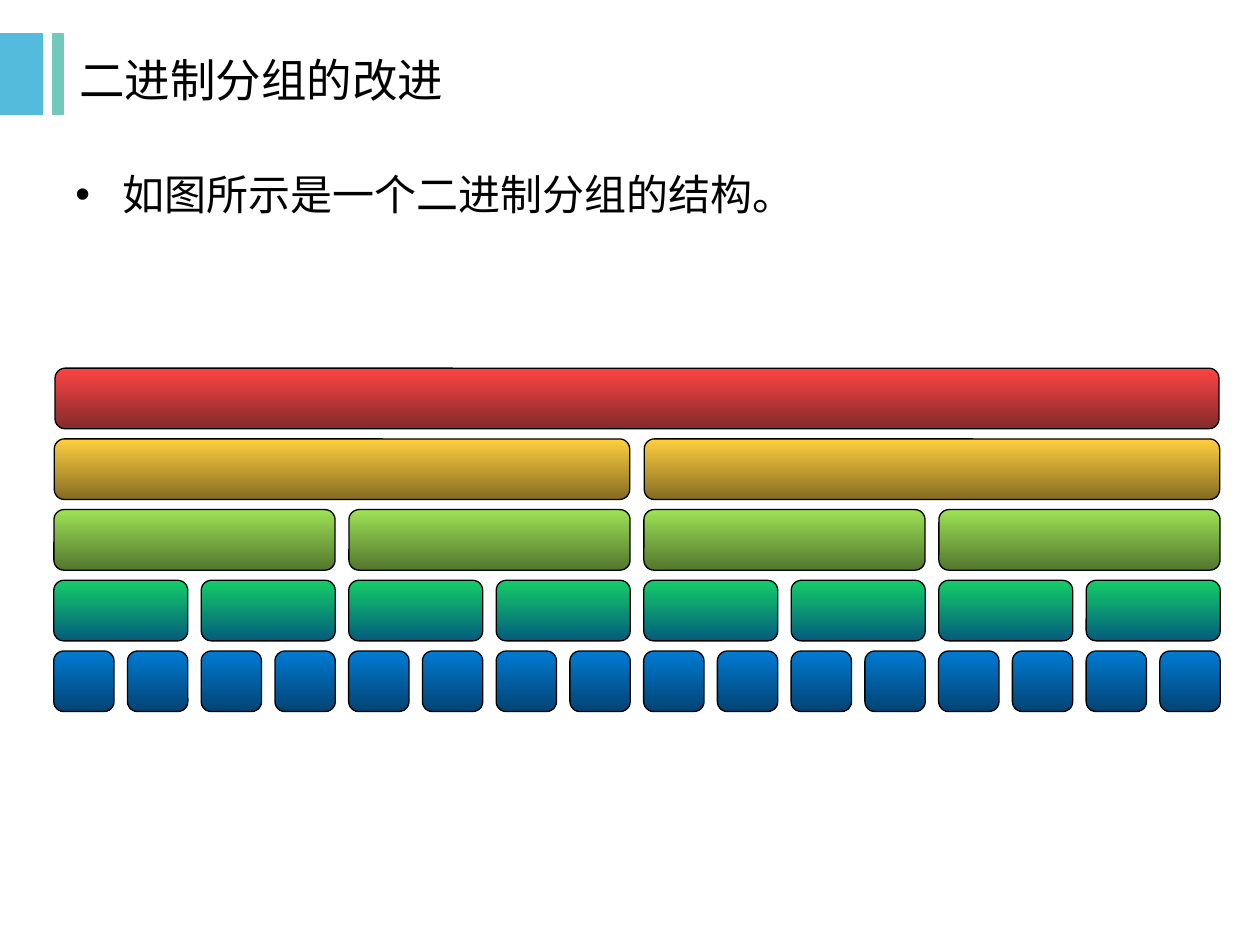
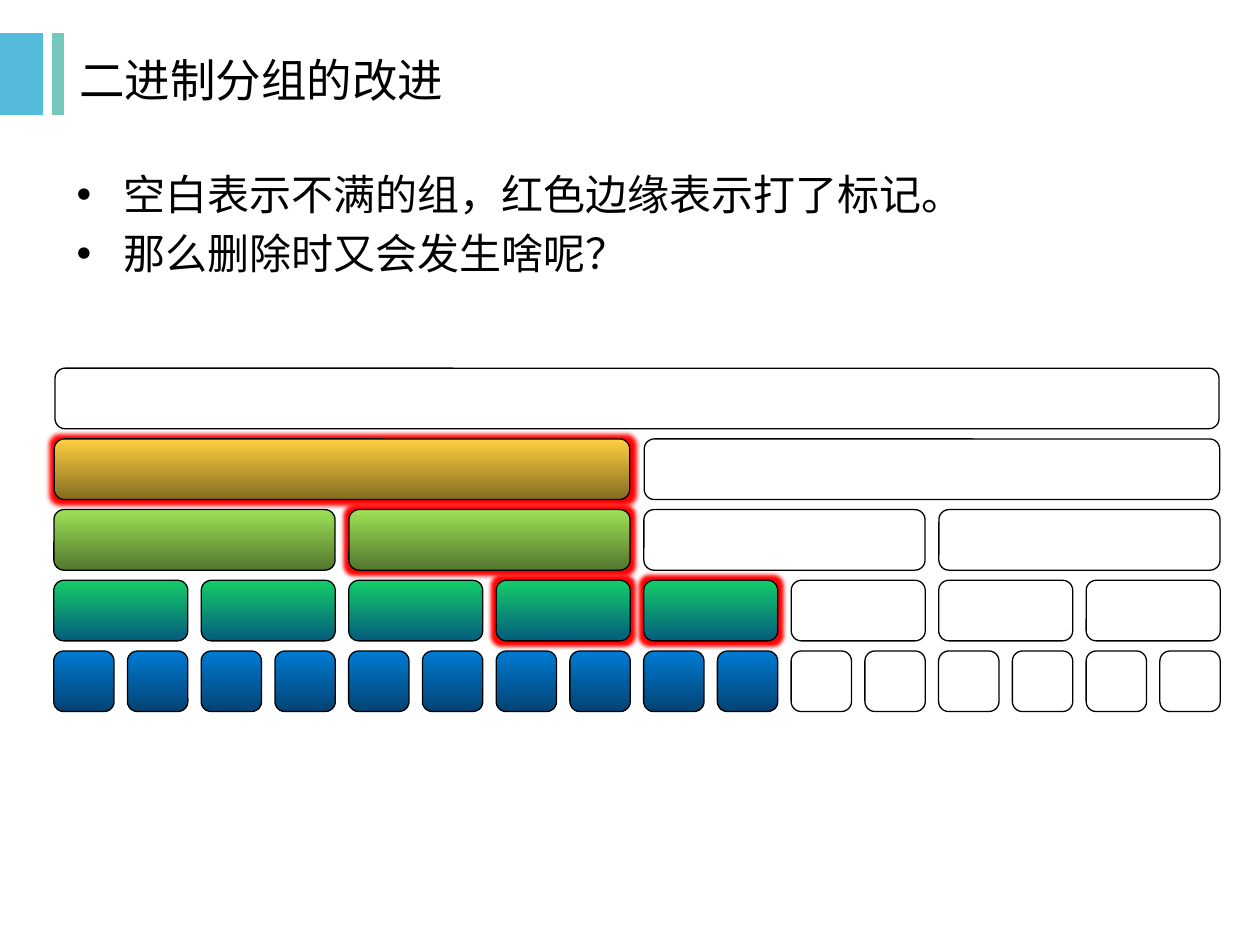
from lxml.etree import SubElement
from pptx import Presentation
from pptx.dml.color import RGBColor
from pptx.enum.shapes import MSO_SHAPE as Preset
from pptx.enum.text import MSO_ANCHOR as Anchor
from pptx.oxml.ns import qn
from pptx.util import Pt

FONT = "Noto Sans CJK SC"
TITLE = "二进制分组的改进"
BLACK, WHITE, RED = "000000", "FFFFFF", "FF0000"
BANDS = [(0, 24, "54BBDC"), (30, 6, "73C8BE")]
LEVELS = [
    ("FE4444", "832B2B"),
    ("FECF40", "846C21"),
    ("9EE256", "52762D"),
    ("14CD68", "035C7D"),
    ("007BD3", "034373"),
]
LEAVES = 2 ** (len(LEVELS) - 1)
TREE_LEFT, TREE_TOP = 26.9, 210.4
LEAF_PITCH, LEVEL_PITCH, GROUP_HEIGHT = 42.14, 40.4, 34.6


def color(value):
    """Turn a hex string into a colour."""
    return RGBColor.from_string(value)


class Deck:
    """Holds the style and the page being drawn."""

    def __init__(self):
        """Start an empty 4:3 presentation."""
        self.show = Presentation()
        self.show.slide_width, self.show.slide_height = Pt(720), Pt(540)
        self.page = None

    def add_page(self, title):
        """Start a page with the side bands and its title."""
        self.page = self.show.slides.add_slide(self.show.slide_layouts[6])
        for left, width, fill in BANDS:
            self.box(Preset.RECTANGLE, left, 19, width, 46.4, [fill], fill)
        self.text([title], 38.2, 19, 646, 52.5, 26).vertical_anchor = Anchor.MIDDLE

    def box(self, preset, left, top, width, height, fills, line):
        """Draw a shape with one fill colour, or two for a gradient downwards."""
        box = self.page.shapes.add_shape(preset, Pt(left), Pt(top), Pt(width), Pt(height))
        box.shadow.inherit = False
        if len(fills) == 1:
            box.fill.solid()
            box.fill.fore_color.rgb = color(fills[0])
        else:
            box.fill.gradient()
            box.fill.gradient_angle = 270
            for stop, fill in zip(box.fill.gradient_stops, fills):
                stop.color.rgb = color(fill)
        box.line.color.rgb = color(line)
        box.line.width = Pt(0.75)
        return box

    def glow(self, box, value, radius):
        """Put a glow around a box."""
        effects = box._element.spPr.find(qn("a:effectLst"))
        glow = SubElement(effects, qn("a:glow"), rad=str(Pt(radius)))
        SubElement(glow, qn("a:srgbClr"), val=value)

    def text(self, lines, left, top, width, height, size):
        """Write one paragraph per line and return the text frame."""
        frame = self.page.shapes.add_textbox(Pt(left), Pt(top), Pt(width), Pt(height)).text_frame
        frame.word_wrap = True
        frame.text = "\n".join(lines)
        for para in frame.paragraphs:
            for span in para.runs:
                span.font.size = Pt(size)
                span.font.name = FONT
                span.font.color.rgb = color(BLACK)
                SubElement(span.font._element, qn("a:ea"), typeface=FONT)
        return frame

    def bullets(self, lines, left):
        """Write the bulleted body text."""
        frame = self.text(lines, left, 92.9, 648, 389.5, 24)
        for para in frame.paragraphs:
            para.space_before = Pt(4.8)
            para.line_spacing = Pt(28.8)
            props = para._p.get_or_add_pPr()
            props.set("marL", str(Pt(27)))
            props.set("indent", str(Pt(-27)))
            SubElement(props, qn("a:buFont"), typeface="Arial")
            SubElement(props, qn("a:buChar"), char="•")

    def tree(self, filled, marked=()):
        """Draw the levels from the leaves up; groups beyond the filled leaves stay white."""
        for level, fills in reversed(list(enumerate(LEVELS))):
            span = LEAVES >> level
            pitch, gap = span * LEAF_PITCH, 7.5 + span / 10
            for index in range(2 ** level):
                full = (index + 1) * span <= filled
                group = self.box(
                    Preset.ROUNDED_RECTANGLE,
                    TREE_LEFT + index * pitch + gap / 2,
                    TREE_TOP + level * LEVEL_PITCH,
                    pitch - gap,
                    GROUP_HEIGHT,
                    fills if full else [WHITE],
                    BLACK,
                )
                if (level, index) in marked:
                    self.glow(group, RED, 5)


def main():
    """Build the two pages and save them."""
    deck = Deck()

    deck.add_page(TITLE)
    deck.tree(LEAVES)
    deck.bullets(["如图所示是一个二进制分组的结构。"], 36)

    deck.add_page(TITLE)
    deck.tree(10, marked={(1, 0), (2, 1), (3, 3), (3, 4)})
    deck.bullets(["空白表示不满的组，红色边缘表示打了标记。", "那么删除时又会发生啥呢？"], 36.7)

    deck.show.save("out.pptx")


if __name__ == "__main__":
    main()
